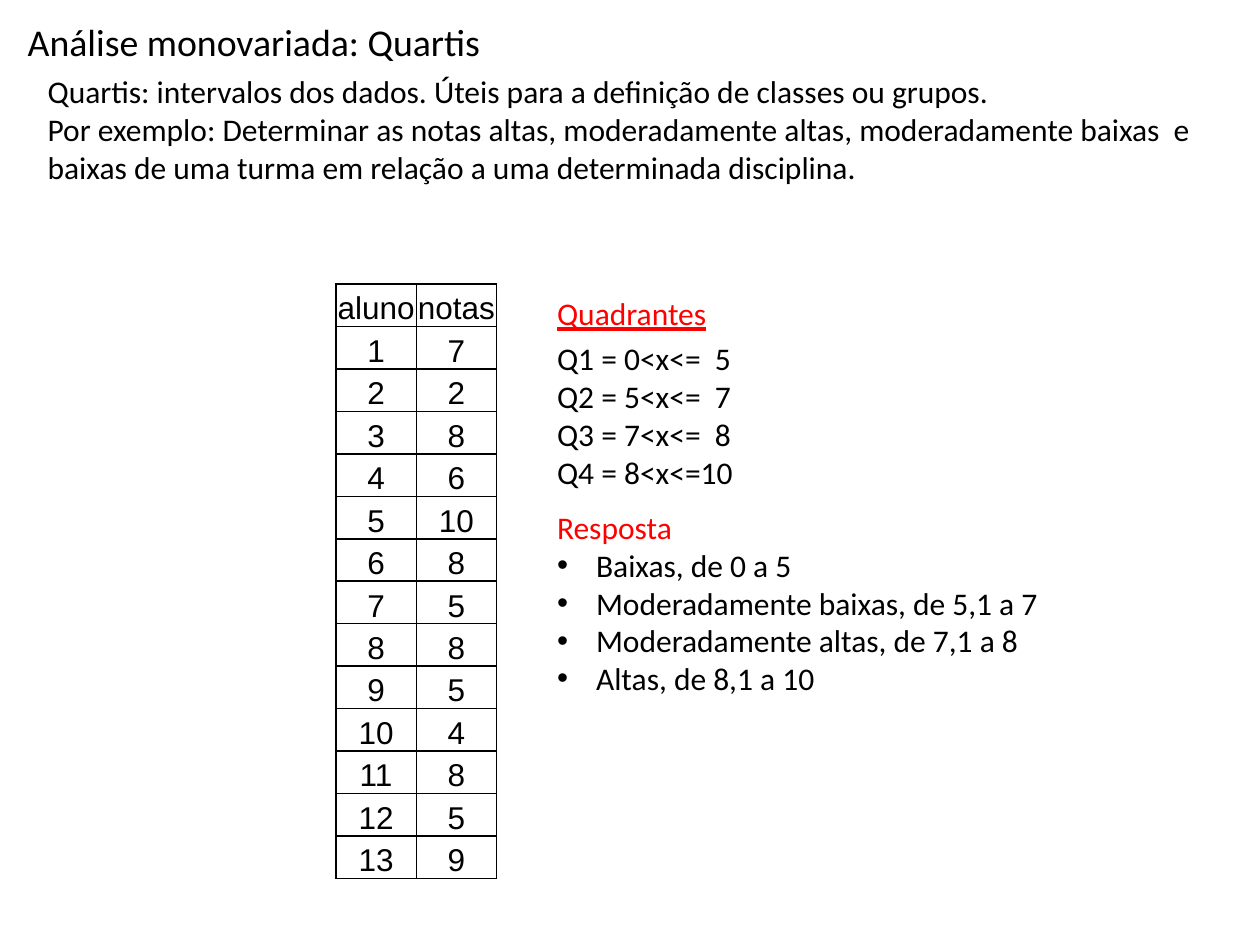
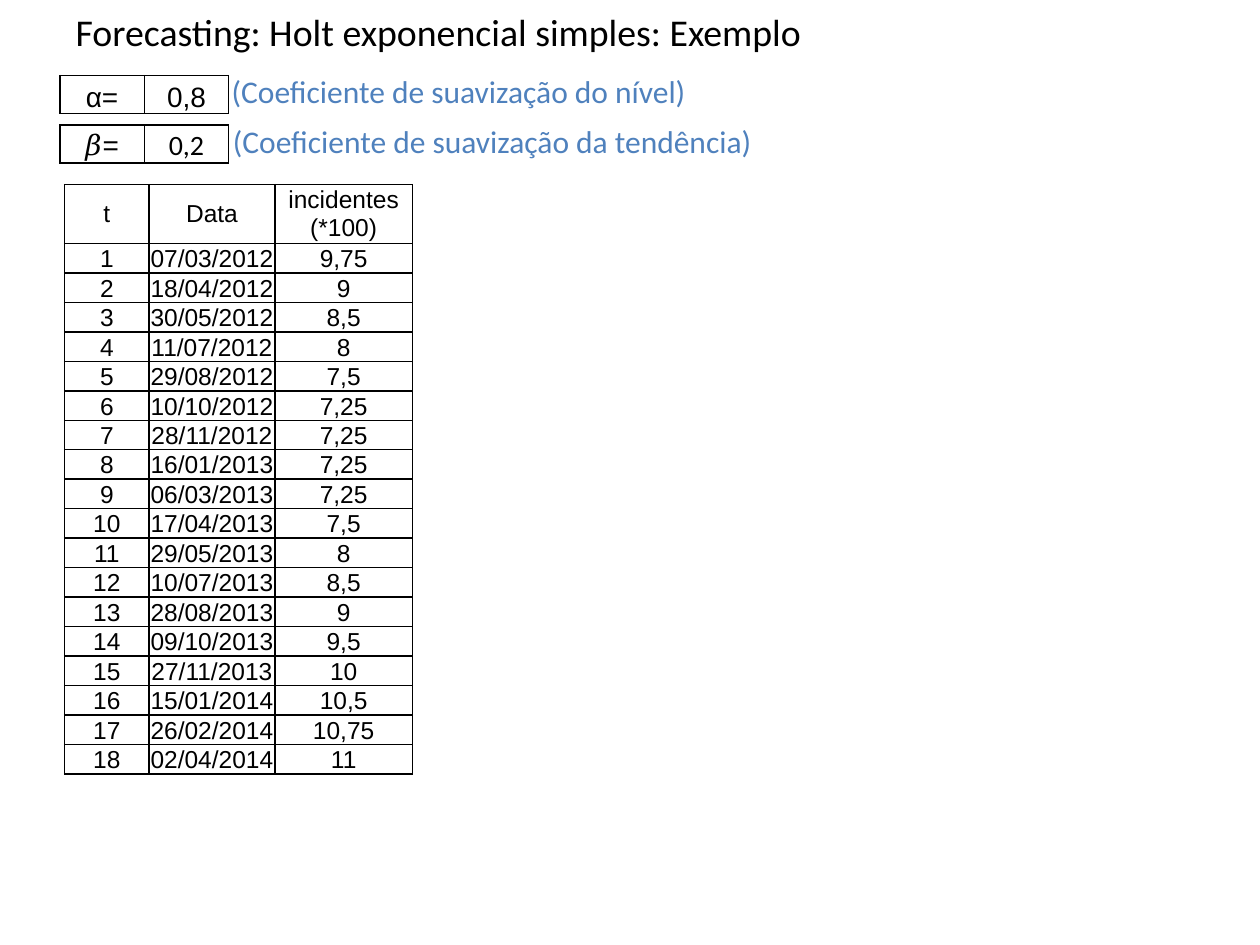
from lxml import etree
from pptx import Presentation
from pptx import util as u
from pptx.dml.color import RGBColor
from pptx.enum import text as t
from pptx.oxml import ns

COLORS = {"text": "000000", "accent": "FF0000", "note": "4F81BD", "border": "000000"}
BODY_FONT = "Calibri"
TABLE_FONT = "Arial"
BODY_SIZE = 18
TITLE_SIZE = 21.6
TITLE_ONLY = 5

# The slide is a grid of 100 columns by 75 rows.
SLIDE_WIDTH, SLIDE_HEIGHT = u.Inches(10), u.Inches(7.5)
COLUMN, ROW = SLIDE_WIDTH / 100, SLIDE_HEIGHT / 75
FORECAST_FRAME = (32.8, 32.8)

GRADES = [7, 2, 8, 6, 10, 8, 5, 8, 5, 4, 8, 5, 9]
INCIDENTS = [
    ("07/03/2012", "9,75"), ("18/04/2012", "9"), ("30/05/2012", "8,5"),
    ("11/07/2012", "8"), ("29/08/2012", "7,5"), ("10/10/2012", "7,25"),
    ("28/11/2012", "7,25"), ("16/01/2013", "7,25"), ("06/03/2013", "7,25"),
    ("17/04/2013", "7,5"), ("29/05/2013", "8"), ("10/07/2013", "8,5"),
    ("28/08/2013", "9"), ("09/10/2013", "9,5"), ("27/11/2013", "10"),
    ("15/01/2014", "10,5"), ("26/02/2014", "10,75"), ("02/04/2014", "11"),
]


def columns(count):
    return round(count * COLUMN)


def rows(count):
    return round(count * ROW)


def box(left, top, width, height):
    return columns(left), rows(top), columns(width), rows(height)


def style(paragraph, size, color="text", name=BODY_FONT, underline=None):
    font = paragraph.font
    font.size, font.name, font.underline = u.Pt(size), name, underline
    font.color.rgb = RGBColor.from_string(COLORS[color])


def add_titled_slide(presentation, title, area):
    slide = presentation.slides.add_slide(presentation.slide_layouts[TITLE_ONLY])
    shape = slide.shapes.title
    shape.left, shape.top, shape.width, shape.height = box(*area)
    frame = shape.text_frame
    frame.text = title
    frame.auto_size = t.MSO_AUTO_SIZE.NONE
    frame.vertical_anchor = t.MSO_ANCHOR.MIDDLE
    frame.paragraphs[0].alignment = t.PP_ALIGN.LEFT
    style(frame.paragraphs[0], TITLE_SIZE)
    return slide


def add_text(slide, area, lines, color="text", underline=None):
    frame = slide.shapes.add_textbox(*box(*area)).text_frame
    frame.word_wrap = True
    frame.text = "\n".join(lines)
    for paragraph in frame.paragraphs:
        style(paragraph, BODY_SIZE, color, underline=underline)
    return frame


def add_bullets(frame, items):
    indent = columns(3.1)
    for item in items:
        paragraph = frame.add_paragraph()
        paragraph.text = item
        properties = paragraph._p.get_or_add_pPr()
        properties.set("marL", str(indent))
        properties.set("indent", str(-indent))
        bullet_color = etree.SubElement(properties, ns.qn("a:buClr"))
        etree.SubElement(bullet_color, ns.qn("a:srgbClr"), val=COLORS["text"])
        etree.SubElement(properties, ns.qn("a:buFont"), typeface="Arial")
        etree.SubElement(properties, ns.qn("a:buChar"), char="•")
        style(paragraph, BODY_SIZE)


def add_borders(cell):
    properties = cell._tc.get_or_add_tcPr()
    for position, side in enumerate("LRTB"):
        line = etree.Element(ns.qn(f"a:ln{side}"), w=str(u.Pt(1)))
        fill = etree.SubElement(line, ns.qn("a:solidFill"))
        etree.SubElement(fill, ns.qn("a:srgbClr"), val=COLORS["border"])
        properties.insert(position, line)


def fill_cell(cell, content, size, anchor):
    """Write content, which is a value or a list of (text, font name) runs."""
    cell.fill.background()
    add_borders(cell)
    cell.margin_left = cell.margin_right = u.Inches(0.01)
    cell.margin_top = cell.margin_bottom = 0
    cell.vertical_anchor = anchor
    paragraph = cell.text_frame.paragraphs[0]
    paragraph.alignment = t.PP_ALIGN.CENTER
    style(paragraph, size, name=TABLE_FONT)
    runs = content if isinstance(content, list) else [(str(content), TABLE_FONT)]
    for words, font_name in runs:
        run = paragraph.add_run()
        run.text = words
        if font_name != TABLE_FONT:
            run.font.name = font_name


def add_grid(slide, left, top, widths, row_height, records, size, frame_size=None,
             header_height=None, header_anchor=t.MSO_ANCHOR.BOTTOM):
    heights = [header_height or row_height] + [row_height] * (len(records) - 1)
    width, height = frame_size or (sum(widths), sum(heights))
    area = box(left, top, width, height)
    frame = slide.shapes.add_table(len(records), len(widths), *area)
    table = frame.table
    table.first_row = table.horz_banding = False
    for column, column_width in zip(table.columns, widths):
        column.width = columns(column_width)
    for index, (row, row_size, record) in enumerate(zip(table.rows, heights, records)):
        row.height = rows(row_size)
        anchor = t.MSO_ANCHOR.BOTTOM if index else header_anchor
        for cell, content in zip(row.cells, record):
            fill_cell(cell, content, size, anchor)
    frame.width, frame.height = area[2:]


def add_coefficient(slide, top, symbol, value, note, note_left, note_top):
    add_grid(slide, 4.75, top, [6.7, 6.7], 3, [(symbol, value)], 16, FORECAST_FRAME)
    add_text(slide, (note_left, note_top, 72.8, 4), [note], "note")


def build_quartiles(presentation):
    slide = add_titled_slide(presentation, "Análise monovariada: Quartis",
                             (1.2, 1.3, 97.6, 3.9))
    add_text(slide, (2.8, 5.22, 93.7, 10.1), [
        "Quartis: intervalos dos dados. Úteis para a definição de classes ou grupos.",
        "Por exemplo: Determinar as notas altas, moderadamente altas, moderadamente "
        "baixas  e baixas de uma turma em relação a uma determinada disciplina.",
    ])
    records = [("aluno", "notas"), *enumerate(GRADES, 1)]
    add_grid(slide, 26.65, 22.54, [6.4, 6.35], 47.2 / len(records), records, 18)

    answer_left = 43.23
    add_text(slide, (answer_left, 26.45, 16.5, 13.1), [
        "Q1 = 0<x<=  5", "Q2 = 5<x<=  7", "Q3 = 7<x<=  8", "Q4 = 8<x<=10"])
    answer = add_text(slide, (answer_left, 39.82, 40.6, 16.2), ["Resposta"], "accent")
    add_bullets(answer, [
        "Baixas, de 0 a 5", "Moderadamente baixas, de 5,1 a 7",
        "Moderadamente altas, de 7,1 a 8", "Altas, de 8,1 a 10"])
    add_text(slide, (answer_left, 22.86, 14.2, 4), ["Quadrantes"], "accent", True)


def build_forecasting(presentation):
    slide = add_titled_slide(presentation,
                             "Forecasting: Holt exponencial simples: Exemplo",
                             (5, 0.54, 90, 3.9))
    add_coefficient(slide, 6, "α=", "0,8",
                    "(Coeficiente de suavização do nível)", 17.4, 5.2)
    add_coefficient(slide, 9.92, [("𝛽", "Cambria"), ("=", TABLE_FONT)],
                    [("0,2", BODY_FONT)],
                    "(Coeficiente de suavização da tendência)", 17.5, 9.2)
    records = [("t", "Data", "incidentes (*100)")]
    records += [(index, *entry) for index, entry in enumerate(INCIDENTS, 1)]
    add_grid(slide, 5.13, 14.65, [6.7, 10, 10.9], 2.26, records, 14, FORECAST_FRAME,
             header_height=4.5, header_anchor=t.MSO_ANCHOR.MIDDLE)


def main():
    presentation = Presentation()
    presentation.slide_width, presentation.slide_height = SLIDE_WIDTH, SLIDE_HEIGHT
    build_quartiles(presentation)
    build_forecasting(presentation)
    presentation.save("out.pptx")


if __name__ == "__main__":
    main()
